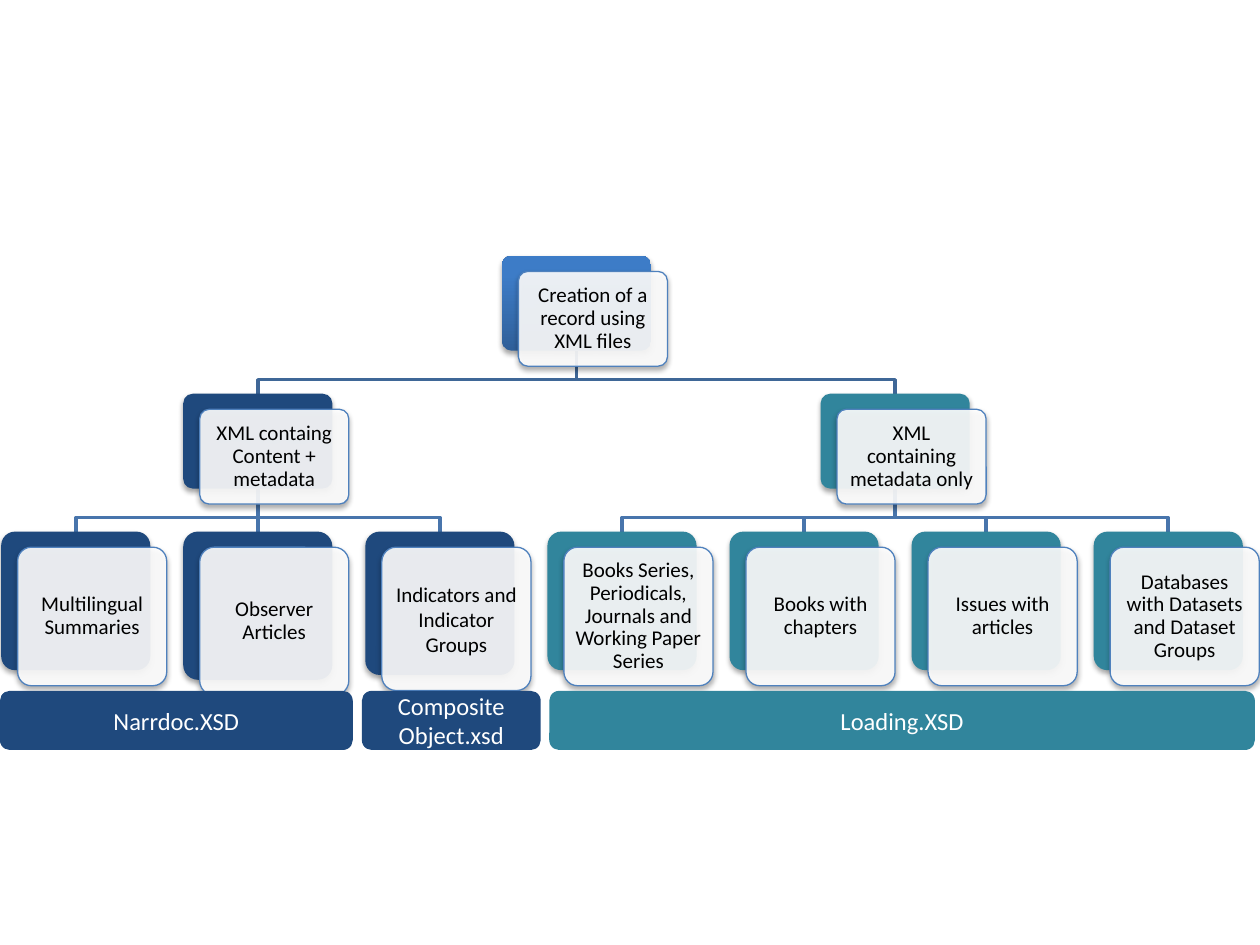
from pptx import Presentation
from pptx.dml.color import RGBColor
from pptx.enum.shapes import MSO_CONNECTOR, MSO_SHAPE
from pptx.enum.text import MSO_ANCHOR, PP_ALIGN
from pptx.oxml import parse_xml
from pptx.oxml.ns import nsdecls, qn
from pptx.util import Pt
from lxml import etree

ROUND_RECT = MSO_SHAPE.ROUNDED_RECTANGLE
STRAIGHT = MSO_CONNECTOR.STRAIGHT
MIDDLE, CENTER = MSO_ANCHOR.MIDDLE, PP_ALIGN.CENTER

NAVY = RGBColor(0x1F, 0x49, 0x7D)
TEAL = RGBColor(0x31, 0x85, 0x9C)
BLUE_DARK = RGBColor(0x2F, 0x5F, 0x99)
BLUE_LIGHT = RGBColor(0x3D, 0x7C, 0xC7)
CARD_LINE = RGBColor(0x4F, 0x81, 0xBD)
LINK_TOP = RGBColor(0x3F, 0x67, 0x97)
LINK_LOW = RGBColor(0x48, 0x75, 0xAC)
WHITE = RGBColor(0xFF, 0xFF, 0xFF)
BLACK = RGBColor(0, 0, 0)

FONT = "Calibri"
CARD_W, CARD_H, LEAF_H = 85.2, 54.2, 79.2
COL_STEP, ROW_STEP = 104.05, 78.8
SHIFT_X, SHIFT_Y = 9.4, 8.9
BUS_GAP = 8


def add_shadow(sp):
    sp._element.spPr.append(parse_xml(
        f'<a:effectLst {nsdecls("a")}><a:outerShdw blurRad="39370" dist="22860" '
        'dir="5400000" rotWithShape="0"><a:srgbClr val="000000">'
        '<a:alpha val="35000"/></a:srgbClr></a:outerShdw></a:effectLst>'))


def add_round_rect(slide, x, y, w, h, color):
    sp = slide.shapes.add_shape(ROUND_RECT, Pt(x), Pt(y), Pt(w), Pt(h))
    sp.fill.solid()
    sp.fill.fore_color.rgb = color
    sp.line.fill.background()
    return sp


def write_text(sp, lines, size, color, spacing=1.0):
    tf = sp.text_frame
    tf.word_wrap = True
    tf.vertical_anchor = MIDDLE
    tf.margin_left = tf.margin_right = tf.margin_top = tf.margin_bottom = Pt(3.6)
    for i, line in enumerate(lines):
        p = tf.add_paragraph() if i else tf.paragraphs[0]
        p.alignment = CENTER
        p.line_spacing = spacing
        r = p.add_run()
        r.text = line
        r.font.size, r.font.name = Pt(size), FONT
        r.font.color.rgb = color


def add_node(slide, x, y, text, color, h=CARD_H, spacing=0.9):
    """Coloured plate with a translucent text card in front."""
    plate = add_round_rect(slide, x, y, CARD_W, h, color or BLUE_DARK)
    if color is None:
        plate.fill.gradient()
        plate.fill.gradient_angle = 90
        start, end = plate.fill.gradient_stops
        start.color.rgb, start.position = BLUE_DARK, 0
        end.color.rgb, end.position = BLUE_LIGHT, 0.8
    card = add_round_rect(slide, x + SHIFT_X, y + SHIFT_Y, CARD_W, h, WHITE)
    rgb = card._element.spPr.find(qn("a:solidFill"))[0]
    etree.SubElement(rgb, qn("a:alpha")).set("val", "90000")
    card.line.color.rgb = CARD_LINE
    card.line.width = Pt(0.75)
    for sp in (plate, card):
        sp.adjustments[0] = 0.1
        add_shadow(sp)
    write_text(card, [text], 12, BLACK, spacing)


def add_link(slide, x1, y1, x2, y2, color):
    """Elbow from a parent plate down to a child plate."""
    if x1 == x2:
        link = slide.shapes.add_connector(STRAIGHT, Pt(x1), Pt(y1), Pt(x2), Pt(y2))
        etree.SubElement(link._element.spPr, qn("a:effectLst"))
    else:
        bus = y2 - BUS_GAP
        fb = slide.shapes.build_freeform(Pt(x1), Pt(y1))
        fb.add_line_segments([(Pt(x1), Pt(bus)), (Pt(x2), Pt(bus)),
                              (Pt(x2), Pt(y2))], close=False)
        link = fb.convert_to_shape()
        link.fill.background()
        link.shadow.inherit = False
    link.line.color.rgb = color
    link.line.width = Pt(2)


def add_tree(slide, left, top, root, branches):
    def col_x(col):
        return left + col * COL_STEP

    def row_y(row):
        return top + row * ROW_STEP

    def link(row, parent, child, color):
        half = CARD_W / 2
        add_link(slide, col_x(parent) + half, row_y(row) + CARD_H,
                 col_x(child) + half, row_y(row + 1), color)

    # Column of each branch is the middle of its leaves
    placed, first = [], 0
    for title, color, leaves in branches:
        cols = range(first, first + len(leaves))
        placed.append((sum(cols) / len(cols), cols, title, color, leaves))
        first += len(leaves)
    root_col = sum(b[0] for b in placed) / len(placed)

    # Links lie behind the nodes
    for mid, cols, *_ in placed:
        for col in cols:
            link(1, mid, col, LINK_LOW)
        link(0, root_col, mid, LINK_TOP)

    # Nodes
    add_node(slide, col_x(root_col), row_y(0), root, None)
    for mid, cols, title, color, leaves in placed:
        add_node(slide, col_x(mid), row_y(1), title, color)
        for col, (text, h, spacing) in zip(cols, leaves):
            add_node(slide, col_x(col), row_y(2), text, color, h, spacing)


def add_schema_bar(slide, x, y, w, h, lines, color):
    bar = add_round_rect(slide, x, y, w, h, color)
    bar.shadow.inherit = False
    write_text(bar, lines, 14, WHITE)


prs = Presentation()
prs.slide_width, prs.slide_height = Pt(720), Pt(540)
slide = prs.slides.add_slide(prs.slide_layouts[6])

# Record tree: leaf text, height, line spacing
add_tree(slide, 0.7, 146.2, "Creation of a record using XML files", [
    ("XML containg Content + metadata", NAVY, [
        ("Multilingual Summaries", LEAF_H, 0.9),
        ("Observer Articles", 84.7, 0.9),
        ("Indicators and Indicator Groups", 81.9, 1.0)]),
    ("XML containing metadata only", TEAL, [
        (text, LEAF_H, 0.9) for text in (
            "Books Series, Periodicals, Journals and Working Paper Series",
            "Books with chapters",
            "Issues with articles",
            "Databases with Datasets and Dataset Groups")]),
])

# Schema bars under the leaves
for x, w, lines, color in (
        (313.9, 403.2, ["Loading.XSD"], TEAL),
        (0, 201.6, ["Narrdoc.XSD"], NAVY),
        (206.8, 102.2, ["Composite", "Object.xsd"], NAVY)):
    add_schema_bar(slide, x, 394.8, w, 33.8, lines, color)

prs.save("out.pptx")
